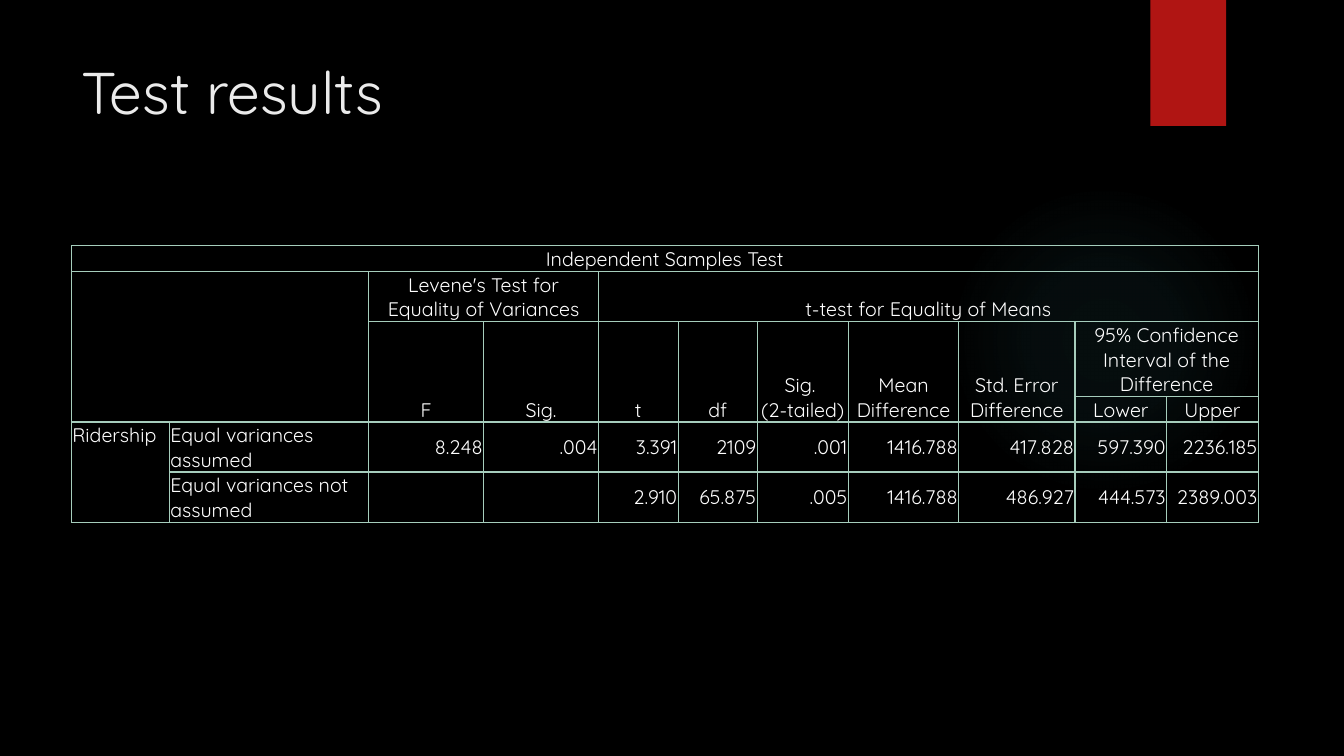
from dataclasses import dataclass

from pptx import Presentation
from pptx.dml.color import RGBColor
from pptx.enum.shapes import MSO_SHAPE
from pptx.enum.text import MSO_ANCHOR, MSO_AUTO_SIZE, PP_ALIGN
from pptx.oxml import parse_xml
from pptx.oxml.ns import nsdecls
from pptx.util import Pt

# Content: (row, column, rows spanned, columns spanned, text)
TITLE = "Test results"
HEADS = [
    (0, 0, 1, 11, "Independent Samples Test"),
    (1, 0, 3, 2, ""),
    (1, 2, 1, 2, "Levene's Test for Equality of Variances"),
    (1, 4, 1, 7, "t-test for Equality of Means"),
    (2, 2, 2, 1, "F"),
    (2, 3, 2, 1, "Sig."),
    (2, 4, 2, 1, "t"),
    (2, 5, 2, 1, "df"),
    (2, 6, 2, 1, "Sig. \v(2-tailed)"),
    (2, 7, 2, 1, "Mean Difference"),
    (2, 8, 2, 1, "Std. Error Difference"),
    (2, 9, 1, 2, "95% Confidence Interval of the Difference"),
    (3, 9, 1, 1, "Lower"),
    (3, 10, 1, 1, "Upper"),
]
GROUP = "Ridership"
DATA = [
    ("Equal variances assumed", "8.248", ".004", "3.391", "2109", ".001",
     "1416.788", "417.828", "597.390", "2236.185"),
    ("Equal variances not assumed", "", "", "2.910", "65.875", ".005",
     "1416.788", "486.927", "444.573", "2389.003"),
]
FIRST = 4  # first data row
COLS = [70, 142.5, 82, 82, 57, 56.5, 65, 79, 83, 65.5, 65.5]
ROWS = [18.5, 35.5, 53.5, 18, 35.5, 35.5]
GLOW = [(0, 7), (36, 6), (69, 0)]  # stop, opacity in percent


@dataclass
class Theme:
    font: str = "Quicksand"
    back: str = "000000"
    head: str = "EBEBEB"
    text: str = "FFFFFF"
    line: str = "A6CDBC"
    flag: str = "B01513"
    glow: str = "50B9C1"
    big: int = 42
    small: int = 14


theme = Theme()


def write(frame, text, size=theme.small, color=theme.text, align=PP_ALIGN.LEFT):
    para = frame.paragraphs[0]
    para.text = text
    para.alignment = align
    for run in para.runs:
        run.font.name = theme.font
        run.font.size = Pt(size)
        run.font.color.rgb = RGBColor.from_string(color)


def shape(slide, kind, box, color):
    item = slide.shapes.add_shape(kind, *map(Pt, box))
    item.shadow.inherit = False
    item.fill.solid()
    item.fill.fore_color.rgb = RGBColor.from_string(color)
    item.line.fill.background()
    return item


def fade(item):
    stops = "".join(
        f'<a:gs pos="{pos * 1000}"><a:srgbClr val="{theme.glow}">'
        f'<a:alpha val="{alpha * 1000}"/></a:srgbClr></a:gs>'
        for pos, alpha in GLOW)
    props = item.fill._xPr
    props.replace(props.solidFill, parse_xml(
        f'<a:gradFill {nsdecls("a")}><a:gsLst>{stops}</a:gsLst>'
        '<a:path path="circle"><a:fillToRect l="50000" t="50000" '
        'r="50000" b="50000"/></a:path></a:gradFill>'))


def style(cell):
    cell.fill.background()
    cell.margin_left = cell.margin_right = cell.margin_top = Pt(0.7)
    cell.margin_bottom = 0
    props = cell._tc.get_or_add_tcPr()
    for spot, side in enumerate("LRTB"):
        props.insert(spot, parse_xml(
            f'<a:ln{side} {nsdecls("a")} w="{Pt(1)}"><a:solidFill>'
            f'<a:srgbClr val="{theme.line}"/></a:solidFill></a:ln{side}>'))


def put(cell, text, align, anchor):
    write(cell.text_frame, text, align=align)
    cell.vertical_anchor = anchor


def main():
    deck = Presentation()
    deck.slide_width, deck.slide_height = Pt(960), Pt(540)
    slide = deck.slides.add_slide(deck.slide_layouts[5])
    slide.background.fill.solid()
    slide.background.fill.fore_color.rgb = RGBColor.from_string(theme.back)

    # Backdrop
    fade(shape(slide, MSO_SHAPE.OVAL, (677.5, 132, 222, 222), theme.glow))
    shape(slide, MSO_SHAPE.RECTANGLE, (821.75, 0, 54, 90), theme.flag)

    # Title
    title = slide.shapes.title
    title.left, title.top, title.width, title.height = map(Pt, (51, 36, 741, 110))
    frame = title.text_frame
    frame.auto_size = MSO_AUTO_SIZE.NONE
    frame.vertical_anchor = MSO_ANCHOR.TOP
    write(frame, TITLE, size=theme.big, color=theme.head)

    # Table grid
    table = slide.shapes.add_table(
        len(ROWS), len(COLS), Pt(51), Pt(175.5), Pt(sum(COLS)), Pt(sum(ROWS))).table
    table.first_row = table.horz_banding = False
    for col, width in zip(table.columns, COLS):
        col.width = Pt(width)
    for row, height in zip(table.rows, ROWS):
        row.height = Pt(height)
    for cell in table.iter_cells():
        style(cell)

    # Headings
    for row, col, down, wide, text in HEADS:
        cell = table.cell(row, col)
        if down * wide > 1:
            cell.merge(table.cell(row + down - 1, col + wide - 1))
        put(cell, text, PP_ALIGN.CENTER,
            MSO_ANCHOR.BOTTOM if row else MSO_ANCHOR.MIDDLE)

    # Results
    group = table.cell(FIRST, 0)
    group.merge(table.cell(FIRST + len(DATA) - 1, 0))
    put(group, GROUP, PP_ALIGN.LEFT, MSO_ANCHOR.TOP)
    for row, (label, *values) in enumerate(DATA, FIRST):
        put(table.cell(row, 1), label, PP_ALIGN.LEFT, MSO_ANCHOR.TOP)
        for col, value in enumerate(values, 2):
            put(table.cell(row, col), value, PP_ALIGN.RIGHT, MSO_ANCHOR.MIDDLE)

    deck.save("out.pptx")


if __name__ == "__main__":
    main()
